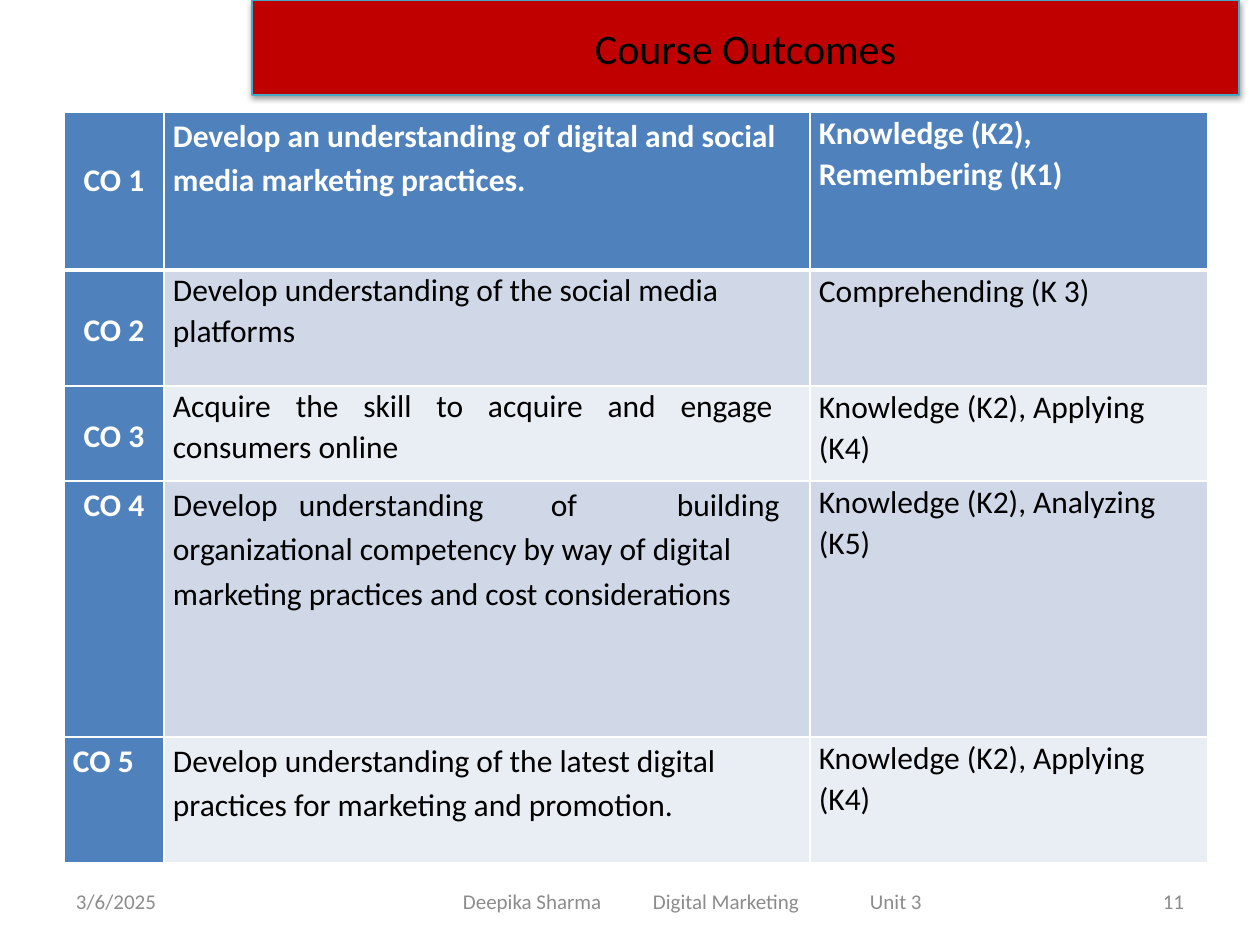
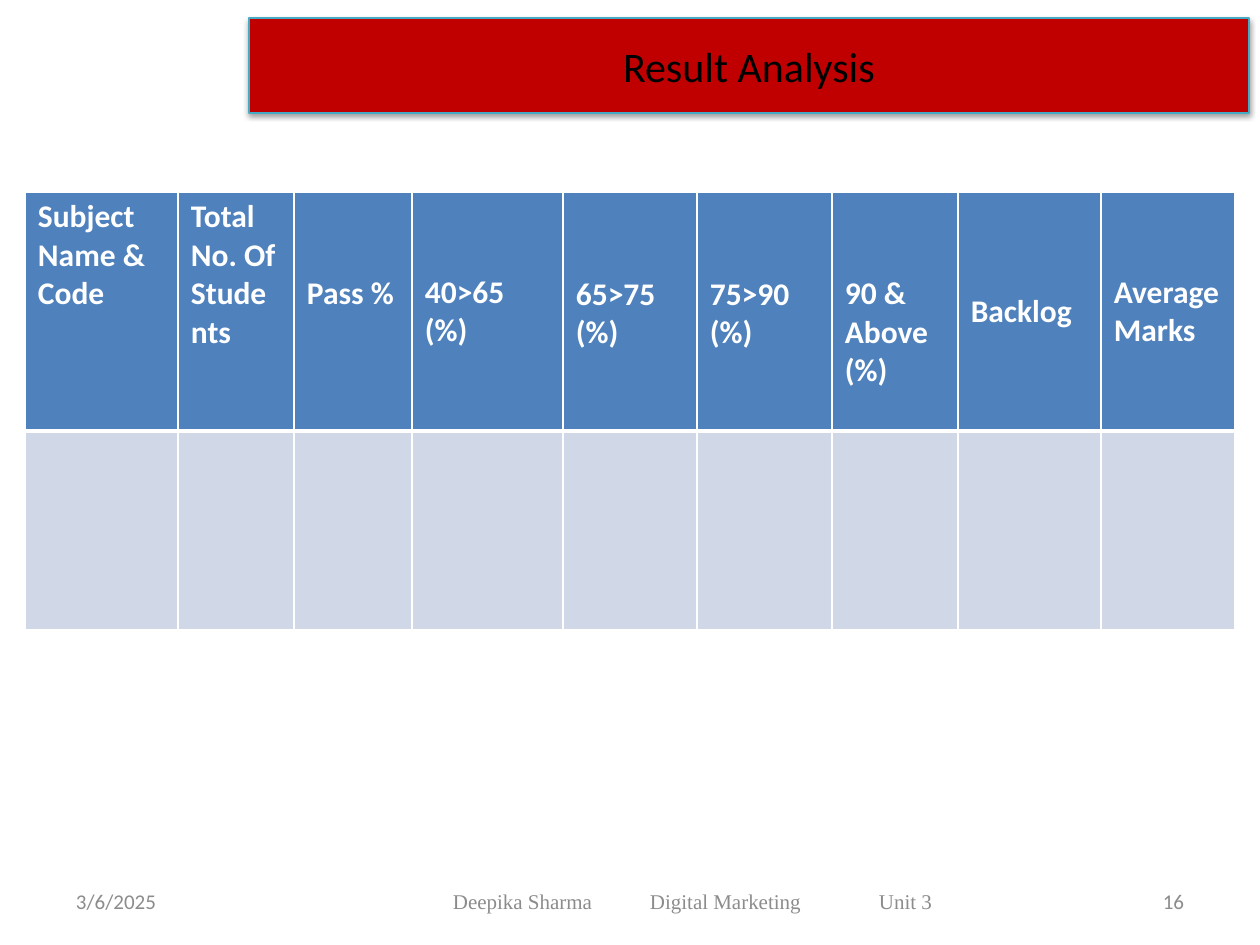
import collections

import lxml.etree
import pptx
import pptx.dml.color
import pptx.enum.text
import pptx.oxml
import pptx.oxml.ns
import pptx.util

Box = collections.namedtuple("Box", "left top width height")
Outcome = collections.namedtuple(
    "Outcome", "code goal levels height code_top code_anchor code_align spacing goal_align goal_right tabs",
    defaults=("top", "center", 1.15, "left", 9, ()))
Heading = collections.namedtuple("Heading", "label width anchor top", defaults=("middle", 6))

EMU_PER_PX = 914400 / 126
COLORS = {
    "red": "C00000", "teal": "46AAC5", "header": "4F81BD", "band": "D0D8E8",
    "light_band": "E9EDF4", "white": "FFFFFF", "black": "000000", "grey": "8C8C8C",
}
ALIGN = {
    "left": pptx.enum.text.PP_ALIGN.LEFT, "center": pptx.enum.text.PP_ALIGN.CENTER,
    "right": pptx.enum.text.PP_ALIGN.RIGHT, "justify": pptx.enum.text.PP_ALIGN.JUSTIFY,
}
ANCHOR = {"top": pptx.enum.text.MSO_ANCHOR.TOP, "middle": pptx.enum.text.MSO_ANCHOR.MIDDLE}
FOOTER = Box(63, 876, 1134, 50)

OUTCOMES = [
    Outcome("CO 1", "Develop an understanding of digital and social media marketing practices.",
            "Knowledge (K2), Remembering (K1)", 158, 44),
    Outcome("CO 2", "Develop understanding of the social media platforms",
            "Comprehending (K 3)", 116, 0, "middle", spacing=1.05),
    Outcome("CO 3", "Acquire the skill to acquire and engage consumers online",
            "Knowledge (K2), Applying (K4)", 95, 0, "middle", spacing=1.05,
            goal_align="justify", goal_right=37),
    Outcome("CO 4", "Develop\tunderstanding\tof\tbuilding organizational competency by way of digital "
            "marketing practices and cost considerations",
            "Knowledge (K2), Analyzing (K5)", 256, 0, tabs=(126, 378, 504)),
    Outcome("CO 5", "Develop understanding of the latest digital practices for marketing and promotion.",
            "Knowledge (K2), Applying (K4)", 126, 0, code_align="left"),
]
HEADINGS = [
    Heading("Subject Name & Code", 153, "top"),
    Heading("Total No. Of Students", 116, "top"),
    Heading("Pass %", 118, "top", 83),
    Heading("40>65 (%)", 151),
    Heading("65>75 (%)", 134, top=10),
    Heading("75>90 (%)", 135, top=10),
    Heading("90 & Above (%)", 126, top=48),
    Heading("Backlog", 143),
    Heading("Average Marks", 134),
]


def px(length):
    """Turn px into EMU."""
    return pptx.util.Emu(round(length * EMU_PER_PX))


def color(name):
    """Look up a named colour."""
    return pptx.dml.color.RGBColor.from_string(COLORS[name])


def write(paragraph, text, size, ink, bold=False, align="left", face="Calibri", spacing=None, tabs=()):
    """Add one formatted run, with any tab stops, to a paragraph."""
    if tabs:
        stops = lxml.etree.SubElement(paragraph._p.get_or_add_pPr(), pptx.oxml.ns.qn("a:tabLst"))
        for stop in tabs:
            lxml.etree.SubElement(stops, pptx.oxml.ns.qn("a:tab"), pos=str(px(stop)), algn="l")
    paragraph.alignment = ALIGN[align]
    if spacing:
        paragraph.line_spacing = spacing
    run = paragraph.add_run()
    run.text = text
    run.font.name, run.font.size, run.font.bold = face, pptx.util.Pt(size), bold
    run.font.color.rgb = color(ink)


def set_margins(target, left, top, right, bottom):
    """Set the four insets of a cell or text frame."""
    target.margin_left, target.margin_top = px(left), px(top)
    target.margin_right, target.margin_bottom = px(right), px(bottom)


def add_banner(slide, box, heading):
    """Format the title placeholder as the red banner."""
    banner = slide.shapes.title
    banner.left, banner.top, banner.width, banner.height = map(px, box)
    banner.fill.solid()
    banner.fill.fore_color.rgb = color("red")
    banner.line.color.rgb = color("teal")
    banner.line.width = pptx.util.Pt(0.75)
    banner._element.spPr.append(pptx.oxml.parse_xml(
        f'<a:effectLst {pptx.oxml.ns.nsdecls("a")}>'
        '<a:outerShdw blurRad="40000" dist="20000" dir="5400000" rotWithShape="0">'
        f'<a:srgbClr val="{COLORS["black"]}"><a:alpha val="38000"/></a:srgbClr>'
        '</a:outerShdw></a:effectLst>'))
    frame = banner.text_frame
    frame.auto_size = pptx.enum.text.MSO_AUTO_SIZE.NONE
    frame.vertical_anchor = ANCHOR["middle"]
    write(frame.paragraphs[0], heading, 24, "black", align="center")


def add_footer(slide, box, number, face, indent, tabs):
    """Place the date, the course line and the page number along the foot."""
    course = "Deepika Sharma\tDigital Marketing\tUnit 3"
    parts = [
        (0, 294, 13, "3/6/2025", "left", "Calibri", ()),
        (283, 693, indent, course, "left", face, tabs),
        (box.width - 294, 294, 13, number, "right", "Calibri", ()),
    ]
    for offset, width, inset, text, align, part_face, stops in parts:
        part = slide.shapes.add_textbox(px(box.left + offset), px(box.top), px(width), px(box.height))
        frame = part.text_frame
        frame.word_wrap = True
        frame.vertical_anchor = ANCHOR["middle"]
        set_margins(frame, inset, 6, 13, 6)
        write(frame.paragraphs[0], text, 12, "grey", align=align, face=part_face, tabs=stops)


def add_grid(slide, box, widths, heights):
    """Add a table whose columns and rows have the given sizes."""
    grid = slide.shapes.add_table(len(heights), len(widths), *map(px, box)).table
    for column, width in zip(grid.columns, widths):
        column.width = px(width)
    for row, height in zip(grid.rows, heights):
        row.height = px(height)
    return grid


def style_cell(cell, row, fill):
    """Fill a cell and rule it in white, heavier under the header row."""
    properties = cell._tc.get_or_add_tcPr()
    weights = {"L": 1, "R": 1, "T": 3 if row == 1 else 1, "B": 3 if row == 0 else 1}
    for position, (side, weight) in enumerate(weights.items()):
        properties.insert(position, pptx.oxml.parse_xml(
            f'<a:ln{side} {pptx.oxml.ns.nsdecls("a")} w="{pptx.util.Pt(weight)}">'
            f'<a:solidFill><a:srgbClr val="{COLORS["white"]}"/></a:solidFill></a:ln{side}>'))
    cell.fill.solid()
    cell.fill.fore_color.rgb = color(fill)


def add_outcomes(slide, box):
    """Fill the table of course outcomes and their knowledge levels."""
    grid = add_grid(slide, box, [100, 646, 398], [outcome.height for outcome in OUTCOMES])
    for row, outcome in enumerate(OUTCOMES):
        code, goal, levels = (grid.cell(row, column) for column in range(3))
        band = "header" if row == 0 else "band" if row % 2 else "light_band"
        ink = "black" if row else "white"
        for cell, fill in ((code, "header"), (goal, band), (levels, band)):
            style_cell(cell, row, fill)
            set_margins(cell, 9, 0, 9, 0)
        code.margin_top = px(outcome.code_top)
        code.vertical_anchor = ANCHOR[outcome.code_anchor]
        goal.margin_right = px(outcome.goal_right)
        write(code.text_frame.paragraphs[0], outcome.code, 18, "white", True, outcome.code_align, spacing=1.15)
        write(goal.text_frame.paragraphs[0], outcome.goal, 18, ink, row == 0, outcome.goal_align,
              spacing=outcome.spacing, tabs=outcome.tabs)
        write(levels.text_frame.paragraphs[0], outcome.levels, 18, ink, row == 0, spacing=1.07)


def add_results(slide, box):
    """Fill the result headings above an empty row."""
    grid = add_grid(slide, box, [heading.width for heading in HEADINGS], [239, 199])
    for column, heading in enumerate(HEADINGS):
        top_cell = grid.cell(0, column)
        style_cell(top_cell, 0, "header")
        style_cell(grid.cell(1, column), 1, "band")
        set_margins(top_cell, 13, heading.top, 13, 6)
        top_cell.vertical_anchor = ANCHOR[heading.anchor]
        write(top_cell.text_frame.paragraphs[0], heading.label, 18, "white", True)


def main():
    """Build both slides and save the deck."""
    deck = pptx.Presentation()
    deck.slide_width, deck.slide_height = px(1260), px(945)
    title_only = deck.slide_layouts[5]

    outcomes = deck.slides.add_slide(title_only)
    add_footer(outcomes, FOOTER, "11", "Calibri", 117, (190, 407))
    add_banner(outcomes, Box(252, 0, 987, 95), "Course Outcomes")
    add_outcomes(outcomes, Box(64, 112, 1144, 751))

    results = deck.slides.add_slide(title_only)
    add_footer(results, FOOTER, "16", "Times New Roman", 107, (197, 426))
    add_banner(results, Box(249, 18, 1000, 95), "Result Analysis")
    add_results(results, Box(25, 192, 1210, 438))

    deck.save("out.pptx")


if __name__ == "__main__":
    main()
